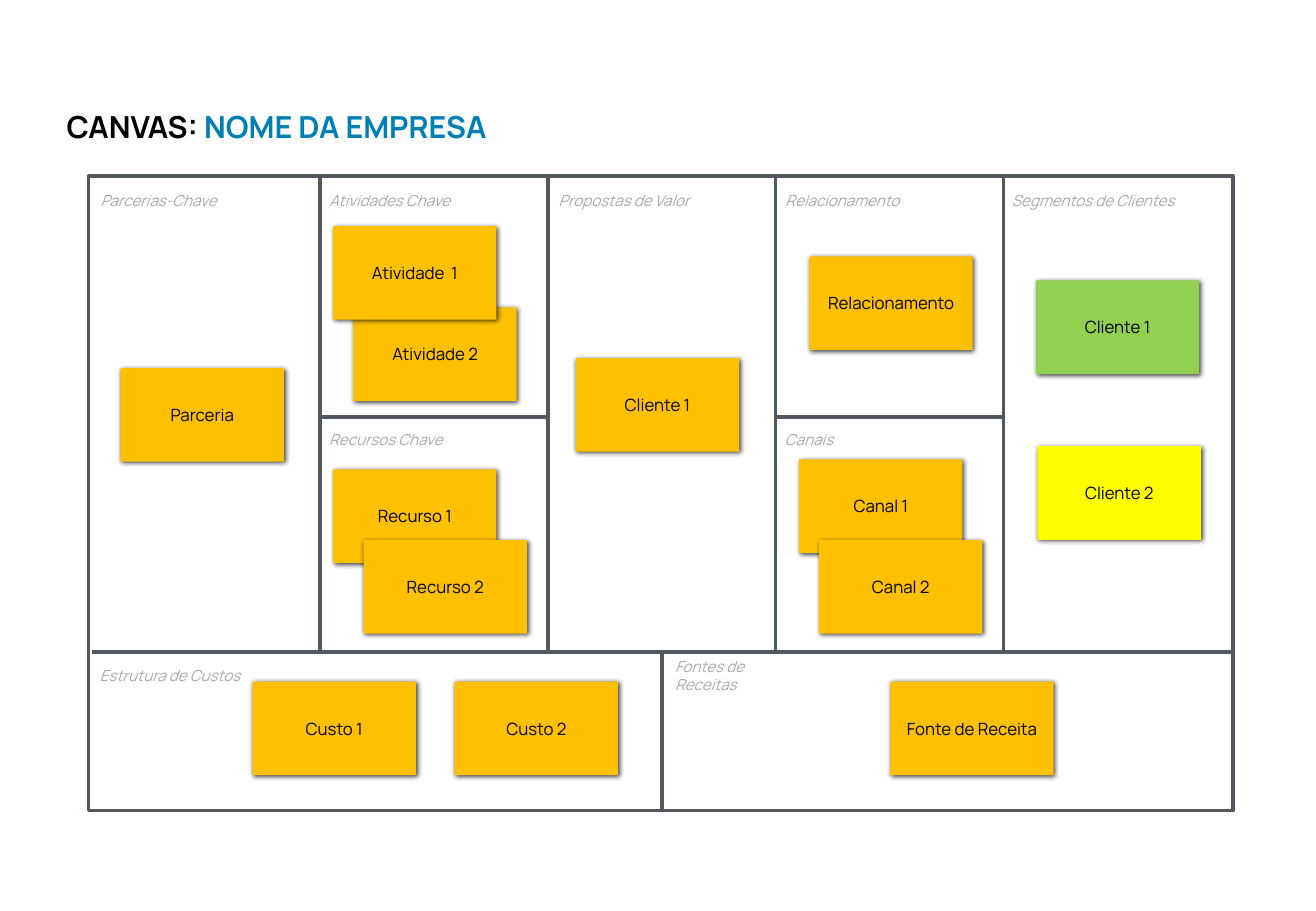
from lxml import etree
from pptx import Presentation
from pptx.dml.color import RGBColor
from pptx.enum.shapes import MSO_CONNECTOR, MSO_SHAPE
from pptx.enum.text import MSO_ANCHOR, PP_ALIGN
from pptx.oxml import parse_xml
from pptx.oxml.ns import nsdecls, qn
from pptx.util import Pt

FONT = "Manrope"
GRID = "53585F"
ORANGE, GREEN, YELLOW = "FFC000", "92D050", "FFFF00"
SHADOW = (
    f'<a:effectLst {nsdecls("a")}>'
    '<a:outerShdw blurRad="38100" dist="12700" dir="2700000" rotWithShape="0">'
    '<a:srgbClr val="000000"><a:alpha val="75000"/></a:srgbClr>'
    "</a:outerShdw></a:effectLst>"
)


def color(value):
    return RGBColor.from_string(value)


def style_text(shape, text, size, value, inset):
    frame = shape.text_frame
    frame.word_wrap = True
    frame.vertical_anchor = MSO_ANCHOR.MIDDLE
    frame.margin_left = frame.margin_right = Pt(inset)
    frame.margin_top = frame.margin_bottom = Pt(inset)
    frame.text = text
    font = frame.paragraphs[0].runs[0].font
    font.name, font.size = FONT, Pt(size)
    font.color.rgb = color(value)
    return frame.paragraphs[0]


presentation = Presentation()
presentation.slide_width, presentation.slide_height = Pt(780), Pt(540)
slide = presentation.slides.add_slide(presentation.slide_layouts[6])
shapes = slide.shapes

# Title in two colours
title = shapes.add_textbox(Pt(39.5), Pt(64), Pt(638), Pt(37))
paragraph = style_text(title, "CANVAS: ", 18, "000000", 0)
title.text_frame.vertical_anchor = MSO_ANCHOR.TOP
company = paragraph.add_run()
company.text = "NOME DA EMPRESA"
company.font.name, company.font.size = FONT, Pt(18)
company.font.color.rgb = color("007FB4")
for run in paragraph.runs:
    run.font.bold = True

# Canvas frame
TOP, MIDDLE, BOTTOM = 104.5, 247, 386.5
frame_box = shapes.add_shape(
    MSO_SHAPE.RECTANGLE, Pt(52.5), Pt(TOP), Pt(678.5), Pt(376))
frame_box.shadow.inherit = False
frame_box.fill.background()
frame_box.line.color.rgb = color(GRID)
frame_box.line.width = Pt(2.25)

# Dividers: four columns, two split columns and the bottom row
columns = [189.5 + 135.1 * i for i in range(4)]
dividers = [(x, TOP, x, BOTTOM - 1) for x in columns]
dividers += [(columns[i], MIDDLE, columns[i + 1], MIDDLE) for i in (0, 2)]
dividers += [(54.5, BOTTOM, 730, BOTTOM), (392.5, BOTTOM, 392.5, 480.5)]
for x1, y1, x2, y2 in dividers:
    line = shapes.add_connector(
        MSO_CONNECTOR.STRAIGHT, Pt(x1), Pt(y1), Pt(x2), Pt(y2))
    line.line.color.rgb = color(GRID)
    line.line.width = Pt(2.25)
    etree.SubElement(line._element.spPr, qn("a:effectLst"))

# Block labels, in three rows
label_rows = {
    111: [
        ("Parcerias-Chave", 56, 106),
        ("Atividades Chave", 191.5, 82),
        ("Propostas de Valor", 327.5, 90),
        ("Relacionamento", 462, 92),
        ("Segmentos de Clientes", 596, 106),
    ],
    252.7: [("Recursos Chave", 191.5, 78), ("Canais", 461.5, 84)],
    393: [("Estrutura de Custos", 55.5, 93), ("Fontes de Receitas", 396.5, 83.5)],
}
for top, labels in label_rows.items():
    for text, left, width in labels:
        label = shapes.add_textbox(Pt(left), Pt(top), Pt(width), Pt(15))
        paragraph = style_text(label, text, 9, "A6AAA9", 3.6)
        paragraph.runs[0].font.italic = True

# Sticky notes, from back to front
notes = [
    ("Cliente 2", 615, 264.5, YELLOW),
    ("Cliente 1", 614, 166.2, GREEN),
    ("Cliente 1", 341.3, 212.3, ORANGE),
    ("Canal 1", 473.7, 272.3, ORANGE),
    ("Relacionamento", 479.7, 152, ORANGE),
    ("Fonte de Receita", 527.7, 404, ORANGE),
    ("Custo 1", 149.7, 404, ORANGE),
    ("Custo 2", 269.5, 404, ORANGE),
    ("Recurso 1", 197.5, 278.2, ORANGE),
    ("Atividade 2", 209.5, 182.2, ORANGE),
    ("Parceria", 71.5, 218.2, ORANGE),
    ("Canal 2", 485.5, 320.2, ORANGE),
    ("Recurso 2", 215.5, 320.2, ORANGE),
    ("Atividade  1", 197.5, 134, ORANGE),
]
for text, left, top, fill in notes:
    note = shapes.add_shape(
        MSO_SHAPE.RECTANGLE, Pt(left), Pt(top), Pt(96.8), Pt(55.5))
    note.fill.solid()
    note.fill.fore_color.rgb = color(fill)
    note.line.fill.background()
    note._element.spPr.append(parse_xml(SHADOW))
    paragraph = style_text(note, text, 10, "000000", 7.2)
    paragraph.alignment = PP_ALIGN.CENTER

presentation.save("out.pptx")
